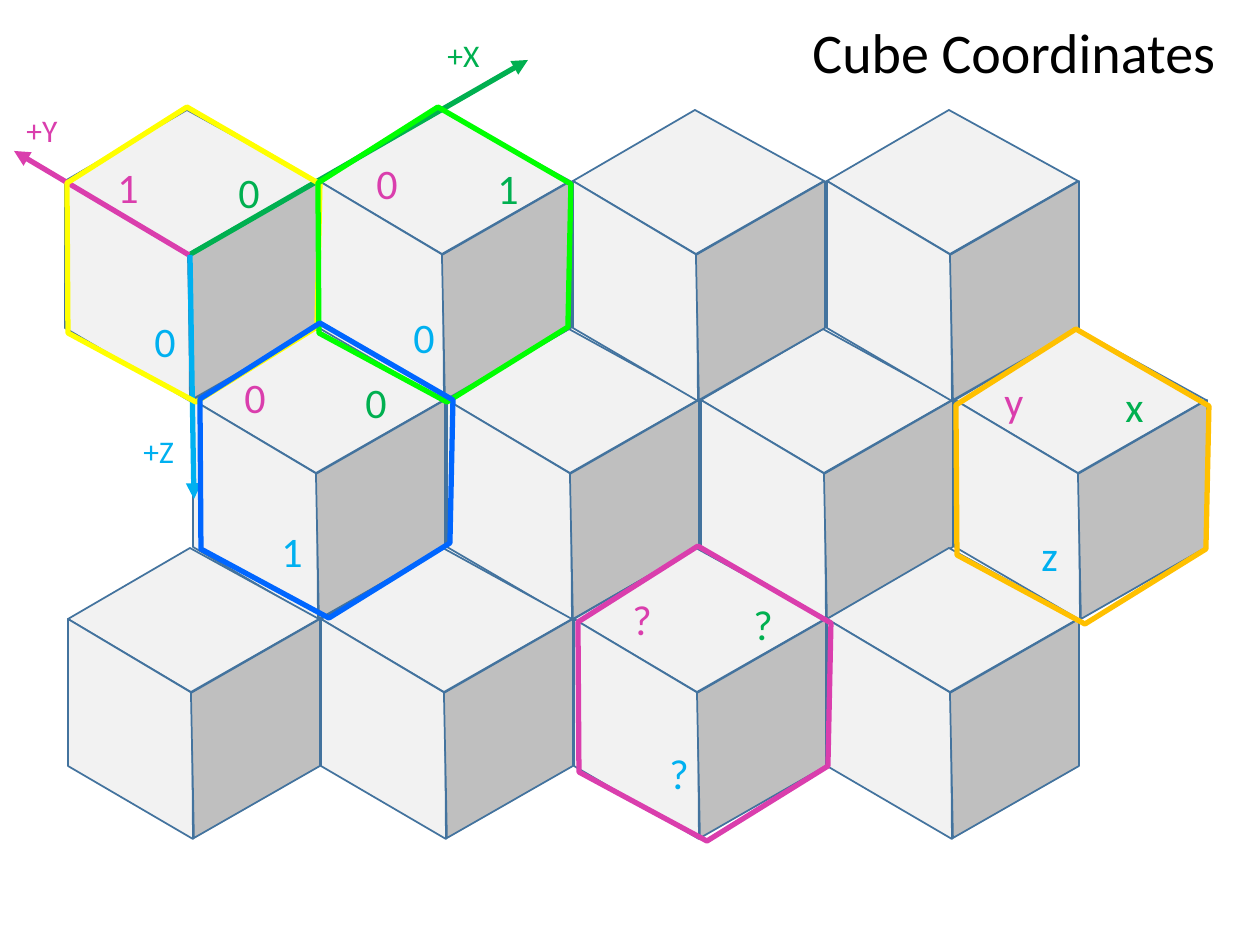
from dataclasses import dataclass

from lxml.etree import SubElement
from pptx import Presentation
from pptx.dml.color import RGBColor
from pptx.enum.shapes import MSO_CONNECTOR
from pptx.enum.text import MSO_AUTO_SIZE
from pptx.oxml.ns import qn
from pptx.util import Emu, Pt

EMU_PER_PX = 914400 / 126


@dataclass(frozen=True)
class Theme:
    font: str = "Calibri"
    title_size: int = 32
    value_size: int = 24
    axis_size: int = 18
    edge_width: int = 1
    bold_width: int = 3
    ink: str = "000000"
    light: str = "F2F2F2"
    shade: str = "BFBFBF"
    edge: str = "43739E"
    x: str = "00B050"
    y: str = "DA3EAD"
    z: str = "00B0F0"
    yellow: str = "FFFF00"
    green: str = "00FF00"
    blue: str = "0066FF"
    orange: str = "FFC000"


THEME = Theme()

CUBE_FACES = [
    ([(122, 0), (0, 71), (123, 144), (251, 71)], THEME.light),
    ([(0, 71), (0, 218), (125, 291), (124, 145)], THEME.light),
    ([(252, 71), (123, 145), (126, 290), (252, 218)], THEME.shade),
]
HEXAGON = [(120, 0), (0, 76), (1, 226), (129, 295), (250, 220), (253, 77)]
VALUE_OFFSETS = [(121, 5, THEME.x), (0, 0, THEME.y), (37, 154, THEME.z)]

CUBE_ROWS = [(193, 329, 254), (65, 110, 254), (68, 548, 253)]
CUBES_PER_ROW = 4

CELLS = [
    ((578, 546), (620, 587), "???", THEME.y),
    ((956, 329), (992, 369), "xyz", THEME.orange),
    ((67, 107), (105, 155), "010", THEME.yellow),
    ((318, 107), (364, 151), "100", THEME.green),
    ((200, 323), (232, 365), "001", THEME.blue),
]
AXES = [
    ("+X", (189, 255), (528, 60), (435, 30), THEME.x),
    ("+Y", (189, 255), (14, 151), (14, 105), THEME.y),
    ("+Z", (190, 255), (194, 499), (131, 426), THEME.z),
]


def px(n):
    return Emu(round(n * EMU_PER_PX))


def rgb(color):
    return RGBColor.from_string(color)


def write(tf, text, *, size, color, font=THEME.font):
    r = tf.paragraphs[0].add_run()
    r.text = text
    r.font.name = font
    r.font.size = Pt(size)
    r.font.color.rgb = rgb(color)


class Sketch:
    def __init__(self, slide, theme):
        self.s = slide
        self.theme = theme

    def text(self, text, left, top, width, height, **fmt):
        sp = self.s.shapes.add_textbox(px(left), px(top), px(width), px(height))
        tf = sp.text_frame
        tf.word_wrap = False
        tf.auto_size = MSO_AUTO_SIZE.SHAPE_TO_FIT_TEXT
        write(tf, text, **fmt)

    def polygon(self, points, origin, line, width, fill=None):
        left, top = origin
        start, *rest = [(left + x, top + y) for x, y in points]
        builder = self.s.shapes.build_freeform(*start, scale=EMU_PER_PX)
        builder.add_line_segments(rest, close=True)
        sp = builder.convert_to_shape()
        sp.shadow.inherit = False
        sp.line.color.rgb = rgb(line)
        sp.line.width = Pt(width)
        if fill:
            sp.fill.solid()
            sp.fill.fore_color.rgb = rgb(fill)
        else:
            sp.fill.background()

    def arrow(self, start, end, color):
        ends = [px(n) for n in (*start, *end)]
        cxn = self.s.shapes.add_connector(MSO_CONNECTOR.STRAIGHT, *ends)
        cxn.line.color.rgb = rgb(color)
        cxn.line.width = Pt(self.theme.bold_width)
        SubElement(cxn.line._get_or_add_ln(), qn("a:tailEnd"), type="triangle")
        SubElement(cxn._element.spPr, qn("a:effectLst"))

    def cube(self, origin):
        for points, fill in CUBE_FACES:
            self.polygon(points, origin, self.theme.edge, self.theme.edge_width, fill)

    def cell(self, origin, value_origin, values, color):
        left, top = value_origin
        for value, (dx, dy, value_color) in zip(values, VALUE_OFFSETS):
            self.text(value, left + dx, top + dy, 46, 63,
                      size=self.theme.value_size, color=value_color)
        self.polygon(HEXAGON, origin, color, self.theme.bold_width)

    def axis(self, name, start, end, label_at, color):
        self.arrow(start, end, color)
        self.text(name, *label_at, 57, 50, size=self.theme.axis_size, color=color)


def main():
    prs = Presentation()
    prs.slide_width, prs.slide_height = px(1260), px(945)
    sketch = Sketch(prs.slides.add_slide(prs.slide_layouts[6]), THEME)

    for left, top, pitch in CUBE_ROWS:
        for column in range(CUBES_PER_ROW):
            sketch.cube((left + column * pitch, top))
    for cell in CELLS[:2]:
        sketch.cell(*cell)
    for axis in AXES:
        sketch.axis(*axis)
    for cell in CELLS[2:]:
        sketch.cell(*cell)
    sketch.text("Cube Coordinates", 800, 11, 433, 81,
                size=THEME.title_size, color=THEME.ink)

    prs.save("out.pptx")


if __name__ == "__main__":
    main()
